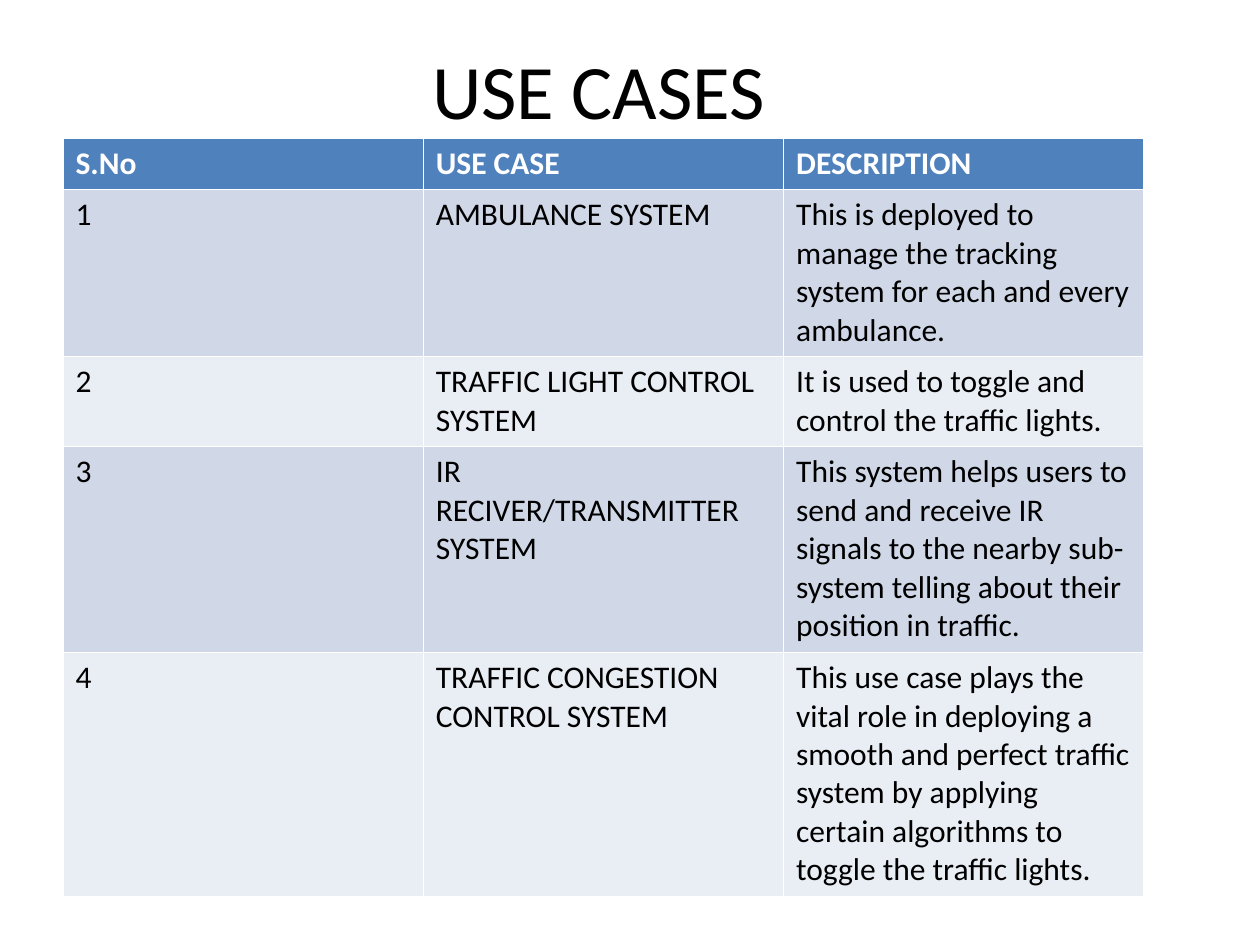
from pptx import Presentation
from pptx.dml.color import RGBColor as Rgb
from pptx.enum.text import MSO_ANCHOR as Anchor, PP_ALIGN as Align
from pptx.util import Cm, Pt

HUES = {"ink": "000000", "paper": "FFFFFF", "head": "4F81BD",
        "odd": "D0D8E8", "even": "E9EDF4"}

HEAD = ("S.No", "USE CASE", "DESCRIPTION")
CASES = (
    ("AMBULANCE SYSTEM",
     "This is deployed to manage the tracking system for each and every "
     "ambulance.", 4),
    ("TRAFFIC LIGHT CONTROL SYSTEM",
     "It is used to toggle and control the traffic lights.", 2),
    ("IR RECIVER/TRANSMITTER SYSTEM",
     "This system helps users to send and receive IR signals to the nearby "
     "sub-system telling about their position in traffic.", 5),
    ("TRAFFIC CONGESTION CONTROL SYSTEM",
     "This use case plays the vital role in deploying a smooth and perfect "
     "traffic system by applying certain algorithms to toggle the traffic "
     "lights.", 6),
)


class Deck:
    """Hold the style and the current slide, and add elements to it."""

    def __init__(self, font="Calibri"):
        self.font = font
        self.prs = Presentation()
        self.prs.slide_width, self.prs.slide_height = Cm(25.4), Cm(19.05)
        self.slide = self.prs.slides.add_slide(self.prs.slide_layouts[5])

    def add_text(self, para, text, size, hue, bold=False):
        run = para.add_run()
        run.text = text
        run.font.name, run.font.size, run.font.bold = self.font, Pt(size), bold
        run.font.color.rgb = Rgb.from_string(HUES[hue])

    def add_title(self, text, left, top, width, height):
        box = self.slide.shapes.title
        box.left, box.top = Cm(left), Cm(top)
        box.width, box.height = Cm(width), Cm(height)
        box.text_frame.vertical_anchor = Anchor.MIDDLE
        para = box.text_frame.paragraphs[0]
        para.alignment = Align.CENTER
        self.add_text(para, text, 44, "ink")

    def add_grid(self, rows, lines, left, top, width):
        highs = [Cm(0.25 + 0.78 * n) for n in lines]
        grid = self.slide.shapes.add_table(
            len(rows), len(rows[0]), Cm(left), Cm(top), Cm(width),
            sum(highs)).table
        for i, (row, high) in enumerate(zip(rows, highs)):
            grid.rows[i].height = high
            fill = "head" if i == 0 else "odd" if i % 2 else "even"
            hue = "paper" if i == 0 else "ink"
            for j, text in enumerate(row):
                cell = grid.cell(i, j)
                cell.fill.solid()
                cell.fill.fore_color.rgb = Rgb.from_string(HUES[fill])
                para = cell.text_frame.paragraphs[0]
                self.add_text(para, text, 18, hue, i == 0)


def main():
    deck = Deck()
    deck.add_title("USE CASES", 0.64, 0.2, 22.86, 3.18)
    rows = [HEAD] + [(str(n), name, note)
                     for n, (name, note, _) in enumerate(CASES, 1)]
    lines = [1] + [case[2] for case in CASES]
    deck.add_grid(rows, lines, 1.27, 2.79, 21.79)
    deck.prs.save("out.pptx")


if __name__ == "__main__":
    main()
